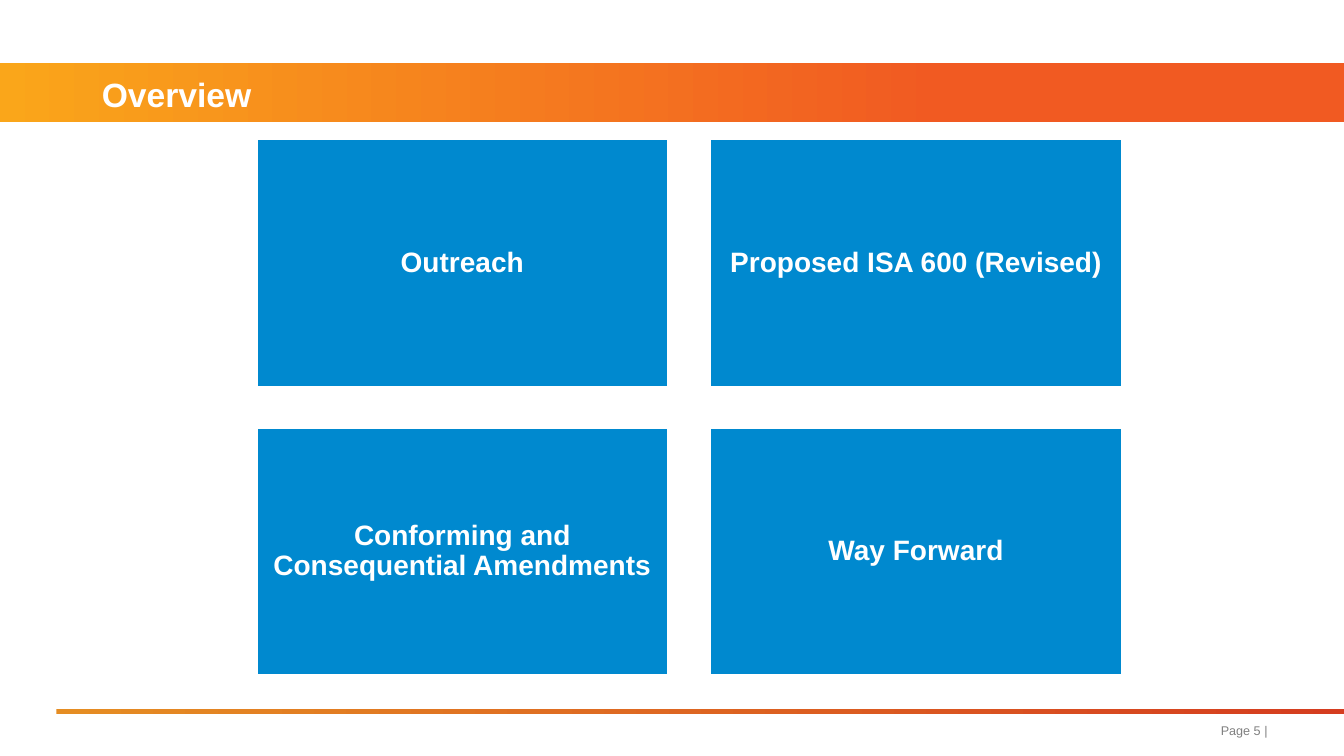
"""Build the overview slide with four topic tiles."""
import dataclasses

import pptx
import pptx.dml.color
import pptx.enum.shapes
import pptx.enum.text
import pptx.util
from pptx.util import Inches

COLOURS = {
    "white": "FFFFFF",
    "tile": "0089CF",
    "footer": "808080",
    "band_left": "FAA61A",
    "band_right": "F15A22",
    "rule_left": "E58D23",
    "rule_right": "D53D20",
}
ALIGN = pptx.enum.text.PP_ALIGN
ANCHOR = pptx.enum.text.MSO_ANCHOR
TILE_WIDTH, TILE_HEIGHT = 4.09, 2.46
TILE_LEFT, TILE_TOP = 2.54, 1.38
COLUMN_STEP, ROW_STEP = 4.5, 2.86


@dataclasses.dataclass
class Band:
    """A full-colour strip fading from left to right."""

    left: float
    top: float
    width: float
    height: float
    start: str
    end: str
    end_position: float


@dataclasses.dataclass
class Tile:
    """A topic and its cell in the grid."""

    label: str
    column: int
    row: int


BANDS = [
    Band(0, 0.62, 13.33, 0.59, "band_left", "band_right", 0.7),
    Band(0.56, 7.03, 12.78, 0.05, "rule_left", "rule_right", 1),
]
TOPICS = [
    "Outreach",
    "Proposed ISA 600 (Revised)",
    "Conforming and Consequential Amendments",
    "Way Forward",
]
TILES = [Tile(label, index % 2, index // 2) for index, label in enumerate(TOPICS)]


def colour(name: str) -> pptx.dml.color.RGBColor:
    """Return a named colour."""
    return pptx.dml.color.RGBColor.from_string(COLOURS[name])


def write(box, text: str, *, size: float, ink: str = "white", bold: bool = True,
          align=ALIGN.LEFT, anchor=ANCHOR.MIDDLE, spacing=1.0,
          margins=(0, 0, 0, 0)) -> None:
    """Put one formatted paragraph in a shape."""
    frame = box.text_frame
    frame.word_wrap = True
    frame.auto_size = pptx.enum.text.MSO_AUTO_SIZE.NONE
    frame.vertical_anchor = anchor
    (frame.margin_left, frame.margin_top,
     frame.margin_right, frame.margin_bottom) = map(Inches, margins)
    para = frame.paragraphs[0]
    para.alignment = align
    para.line_spacing = spacing
    span = para.add_run()
    span.text = text
    span.font.name = "Arial"
    span.font.size = pptx.util.Pt(size)
    span.font.bold = bold
    span.font.color.rgb = colour(ink)


def add_rectangle(page, left: float, top: float, width: float, height: float):
    """Add a rectangle without a shadow."""
    box = page.shapes.add_shape(
        pptx.enum.shapes.MSO_SHAPE.RECTANGLE,
        Inches(left), Inches(top), Inches(width), Inches(height))
    box.shadow.inherit = False
    return box


def draw_band(page, band: Band) -> None:
    """Draw a gradient strip."""
    box = add_rectangle(page, band.left, band.top, band.width, band.height)
    box.line.fill.background()
    box.fill.gradient()
    box.fill.gradient_angle = 0
    first, last = box.fill.gradient_stops
    first.color.rgb, first.position = colour(band.start), 0
    last.color.rgb, last.position = colour(band.end), band.end_position


def draw_tile(page, tile: Tile) -> None:
    """Draw a topic tile in its grid cell."""
    box = add_rectangle(page, TILE_LEFT + tile.column * COLUMN_STEP,
                        TILE_TOP + tile.row * ROW_STEP, TILE_WIDTH, TILE_HEIGHT)
    box.fill.solid()
    box.fill.fore_color.rgb = colour("tile")
    box.line.color.rgb = colour("white")
    box.line.width = pptx.util.Pt(2)
    write(box, tile.label, size=20, align=ALIGN.CENTER, spacing=0.9,
          margins=(0.08, 0.08, 0.08, 0.08))


def draw_title(page) -> None:
    """Place the title in front of its band."""
    title = page.shapes.title
    title.element.getparent().append(title.element)
    title.left, title.top = Inches(0.5), Inches(0.62)
    title.width, title.height = Inches(12.83), Inches(0.59)
    write(title, "Overview", size=24, spacing=pptx.util.Pt(32),
          margins=(0.51, 0, 0, 0))


def draw_footer(page) -> None:
    """Add the page number."""
    box = page.shapes.add_textbox(Inches(8.65), Inches(7.12), Inches(4.02), Inches(0.33))
    write(box, "Page 5 |", size=9, ink="footer", bold=False, align=ALIGN.RIGHT,
          anchor=ANCHOR.TOP, margins=(0.1, 0.05, 0.1, 0.05))


def main() -> None:
    """Build and save the deck."""
    deck = pptx.Presentation()
    deck.slide_width, deck.slide_height = Inches(13.33), Inches(7.5)
    page = deck.slides.add_slide(deck.slide_layouts.get_by_name("Title Only"))
    for band in BANDS:
        draw_band(page, band)
    draw_title(page)
    for tile in TILES:
        draw_tile(page, tile)
    draw_footer(page)
    deck.save("out.pptx")


if __name__ == "__main__":
    main()
